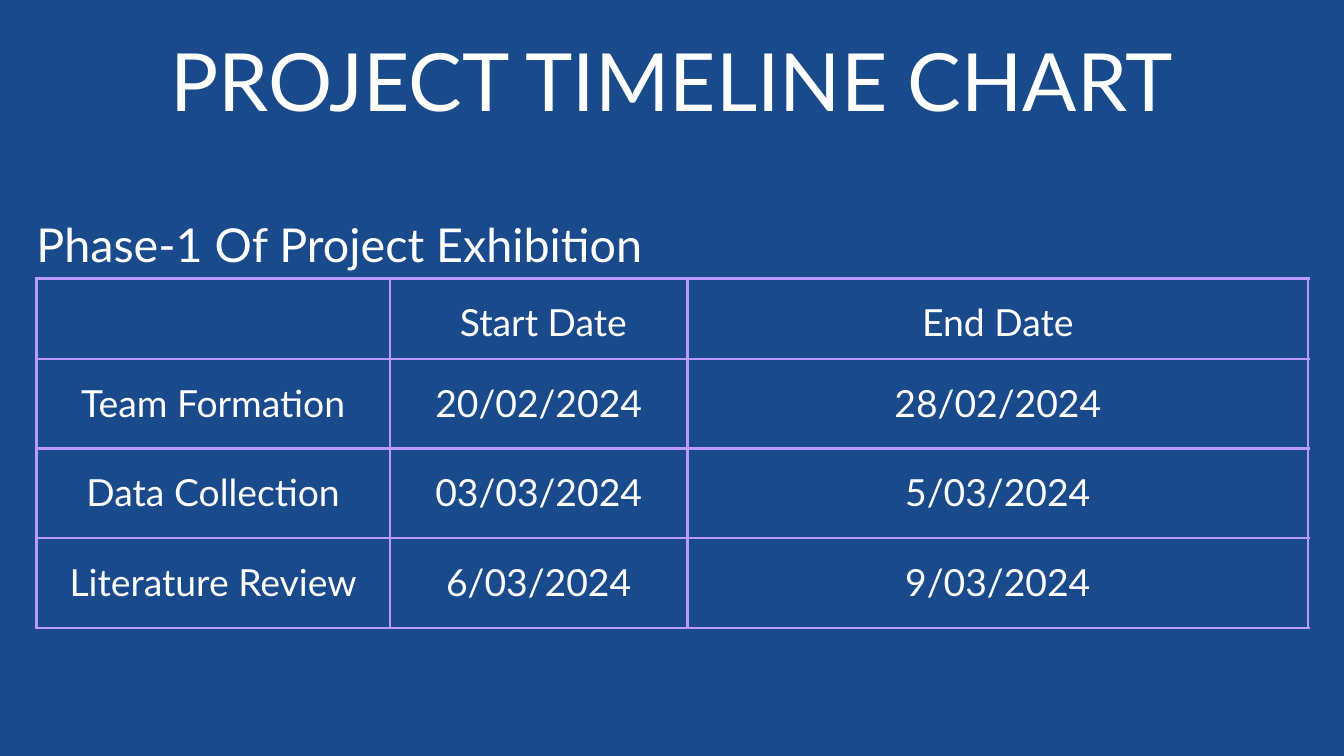
from lxml import etree
from pptx import Presentation
from pptx import util as u
from pptx.dml.color import RGBColor
from pptx.enum import text
from pptx.oxml import ns

PX = 9525  # EMU per px, slide is 1920 x 1080
WHITE, NAVY, LILAC = "FFFFFF", "194A8B", "BB99FF"


def color(value):
    return RGBColor.from_string(value)


def write(tf, content, size, spacing, align):
    """Fill a text frame with one paragraph; size and line spacing in points."""
    tf.word_wrap = True
    p = tf.paragraphs[0]
    p.text = content
    p.alignment = align
    p.line_spacing = u.Pt(spacing)
    p.font.name = "Lato"
    p.font.size = u.Pt(size)
    p.font.color.rgb = color(WHITE)


prs = Presentation()
prs.slide_width, prs.slide_height = 1920 * PX, 1080 * PX
s = prs.slides.add_slide(prs.slide_layouts[6])
s.background.fill.solid()
s.background.fill.fore_color.rgb = color(NAVY)

# Schedule table
rows = [
    ("", " Start Date", "End Date"),
    ("Team Formation", "20/02/2024", "28/02/2024"),
    ("Data Collection", "03/03/2024", "5/03/2024"),
    ("Literature Review", "6/03/2024", "9/03/2024"),
]
widths = [505, 425, 887]
heights = [115, 128, 128, 128]
frame = s.shapes.add_table(len(rows), len(widths), 52 * PX, 398 * PX,
                           sum(widths) * PX, sum(heights) * PX)
table = frame.table
table.first_row = table.horz_banding = False
for column, width in zip(table.columns, widths):
    column.width = width * PX
for row, height, labels in zip(table.rows, heights, rows):
    row.height = height * PX
    for cell, label in zip(row.cells, labels):
        cell.margin_left = cell.margin_right = 20 * PX
        cell.margin_top = cell.margin_bottom = 20 * PX
        cell.vertical_anchor = text.MSO_ANCHOR.TOP
        tcPr = cell._tc.get_or_add_tcPr()
        for side in ("a:lnL", "a:lnR", "a:lnT", "a:lnB"):
            ln = etree.SubElement(tcPr, ns.qn(side), w=str(u.Pt(3)))
            fill = etree.SubElement(ln, ns.qn("a:solidFill"))
            etree.SubElement(fill, ns.qn("a:srgbClr"), val=LILAC)
        cell.fill.background()
        if label:
            write(cell.text_frame, label, 40, 56, text.PP_ALIGN.CENTER)

# Title and table heading
for content, box, size, spacing, align in [
    ("PROJECT TIMELINE CHART", (200, 22, 1520, 154), 86, 120.5, text.PP_ALIGN.CENTER),
    ("Phase-1 Of Project Exhibition", (52, 295, 1313, 69), 50, 70, text.PP_ALIGN.LEFT),
]:
    sp = s.shapes.add_textbox(*(n * PX for n in box))
    tf = sp.text_frame
    tf.margin_left = tf.margin_right = tf.margin_top = tf.margin_bottom = 0
    write(tf, content, size, spacing, align)

prs.save("out.pptx")
